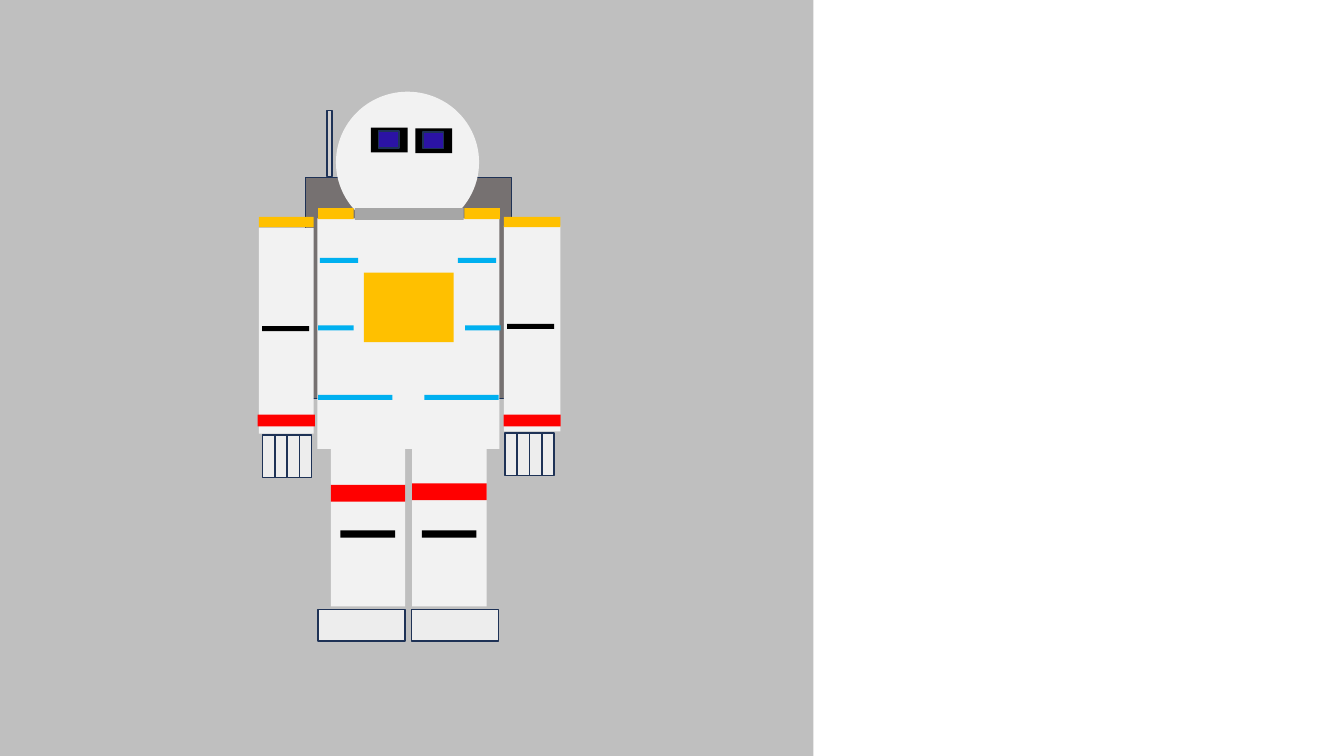
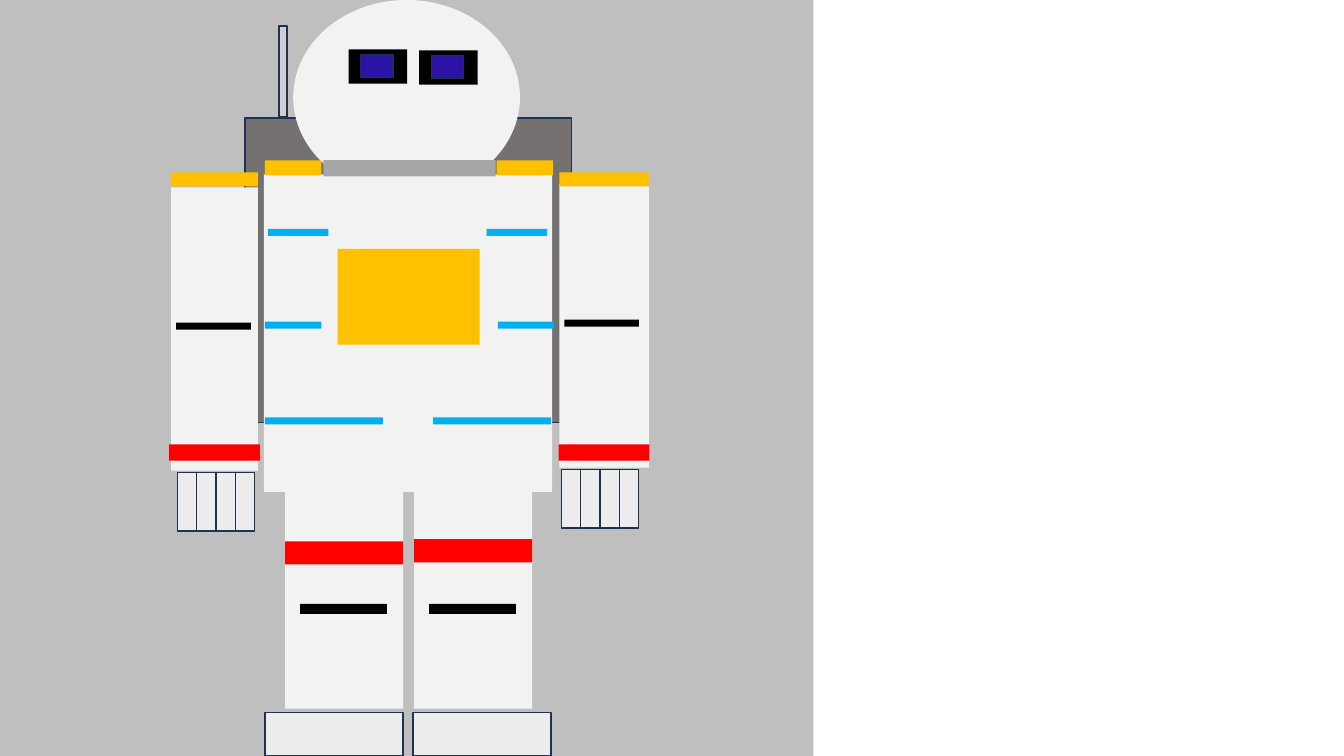
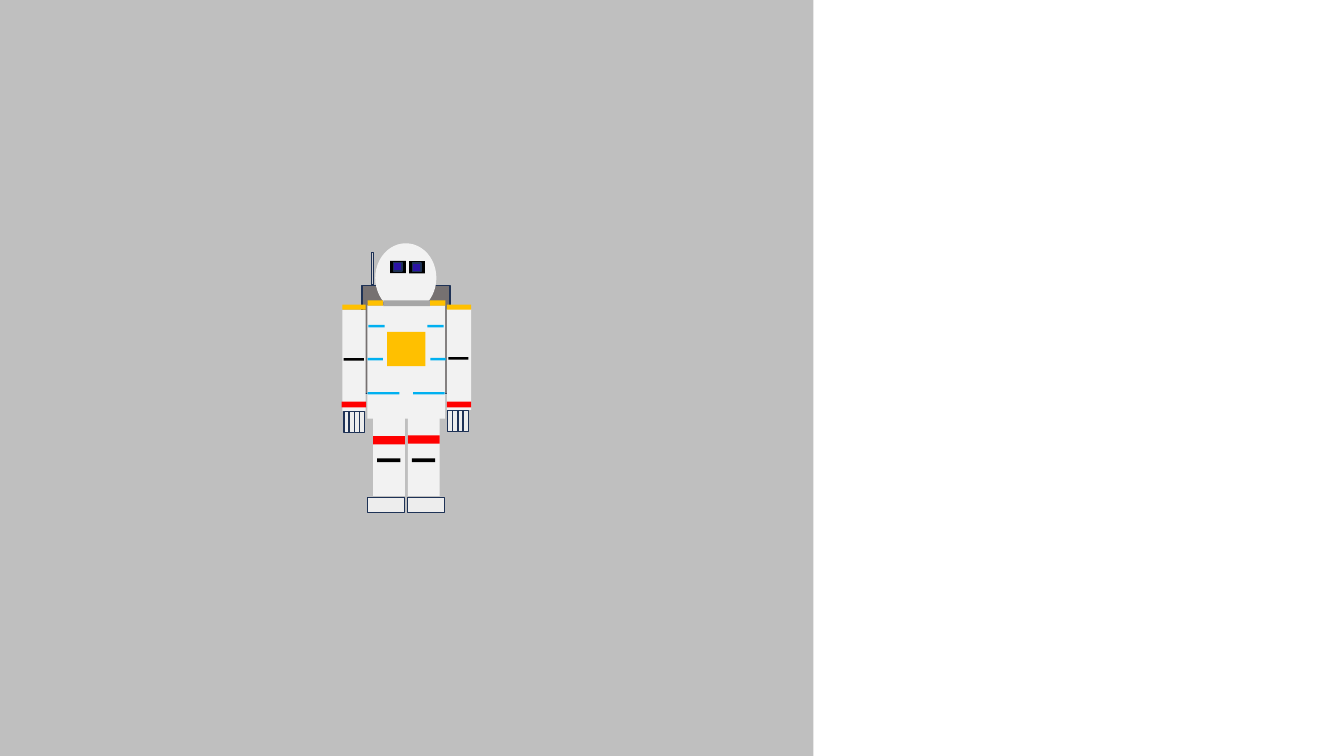
from dataclasses import dataclass

from pptx import Presentation
from pptx.dml.color import RGBColor
from pptx.enum.shapes import MSO_SHAPE
from pptx.util import Cm, Pt

BACKDROP = "BFBFBF"
SUIT = "F2F2F2"
TRIM = "EDEDED"
PACK = "767171"
METAL = "D0CECE"
COLLAR = "A6A6A6"
GOLD = "FFC000"
RED = "FF0000"
BLUE = "00B0F0"
BLACK = "000000"
IRIS = "2B13A5"
OUTLINE = "1E3256"

# The robot is designed on this grid and stretched to fill its box.
GRID_WIDTH, GRID_HEIGHT = 476, 750

# Left, top, width and height of the robot on each slide, in cm
ROBOT_BOXES = [
    (6.51, 2.31, 7.63, 13.84),
    (4.29, 0, 12.09, 19.05),
    (8.62, 6.13, 3.26, 6.79),
]


def color(hex_string):
    return RGBColor.from_string(hex_string)


def add_part(shapes, box, fill, line=None, kind=MSO_SHAPE.RECTANGLE):
    """Add one flat shape; box is left, top, width, height in cm."""
    part = shapes.add_shape(kind, *(Cm(length) for length in box))
    part.shadow.inherit = False
    part.fill.solid()
    part.fill.fore_color.rgb = color(fill)
    if line:
        part.line.color.rgb = color(line)
        part.line.width = Pt(1)
    else:
        part.line.fill.background()
    return part


@dataclass
class Canvas:
    """A group of shapes whose parts are placed in grid units inside a box."""
    shapes: object
    box: tuple

    def add(self, grid_box, fill, line=None, kind=MSO_SHAPE.RECTANGLE):
        left, top, width, height = self.box
        across, down = width / GRID_WIDTH, height / GRID_HEIGHT
        x, y, w, h = grid_box
        placed = (left + x * across, top + y * down, w * across, h * down)
        return add_part(self.shapes, placed, fill, line, kind)


def draw_backpack(canvas):
    canvas.add((108, 26, 8, 90), METAL, OUTLINE)
    canvas.add((74, 117, 324, 302), PACK, OUTLINE)


def draw_head(canvas):
    canvas.add((122, 0, 225, 193), SUIT, kind=MSO_SHAPE.OVAL)
    for left, top in ((177, 49), (247, 50)):
        canvas.add((left, top, 58, 34), BLACK)
        canvas.add((left + 12, top + 5, 32, 23), IRIS, OUTLINE)


def draw_torso(canvas):
    canvas.add((93, 173, 286, 315), SUIT)
    for left in (94, 324):
        canvas.add((left, 159, 56, 15), GOLD)
    canvas.add((152, 159, 171, 16), COLLAR)
    canvas.add((166, 247, 141, 95), GOLD)
    for top, width, lefts in ((227, 60, (97, 314)),
                              (319, 56, (94, 325)),
                              (414, 117, (94, 261))):
        for left in lefts:
            canvas.add((left, top, width, 7), BLUE)


def draw_arm(canvas, left, width, lift, hand_left):
    """Draw sleeve, bands and hand; lift raises the sleeve, elbow and hand."""
    canvas.add((left, 186 - lift, width, 281), SUIT)
    canvas.add((left, 171, width, 14), GOLD)
    canvas.add((left + 5, 320 - lift, 74, 7), BLACK)
    canvas.add((left + (width - 90) / 2, 441, 90, 16), RED)
    for finger in range(4):
        canvas.add((hand_left + finger * 19.3, 469 - lift, 19, 58),
                   TRIM, OUTLINE)


def draw_leg(canvas, left, boot_left, band_top):
    canvas.add((left, 470, 117, 233), SUIT)
    canvas.add((left, band_top, 117, 23), RED)
    canvas.add((left + 15, 599, 86, 10), BLACK)
    canvas.add((boot_left, 707, 137, 43), TRIM, OUTLINE)


def draw_robot(page, box):
    canvas = Canvas(page.shapes.add_group_shape().shapes, box)
    draw_backpack(canvas)
    draw_head(canvas)
    draw_torso(canvas)
    draw_arm(canvas, left=1, width=86, lift=0, hand_left=7)
    draw_arm(canvas, left=386, width=89, lift=3, hand_left=388)
    draw_leg(canvas, left=114, boot_left=94, band_top=537)
    draw_leg(canvas, left=242, boot_left=241, band_top=535)


def main():
    deck = Presentation()
    deck.slide_width, deck.slide_height = Cm(33.87), Cm(19.05)
    blank_layout = deck.slide_layouts[6]
    for box in ROBOT_BOXES:
        page = deck.slides.add_slide(blank_layout)
        add_part(page.shapes, (0, 0, 20.5, 19.05), BACKDROP)
        draw_robot(page, box)
    deck.save("out.pptx")


if __name__ == "__main__":
    main()
